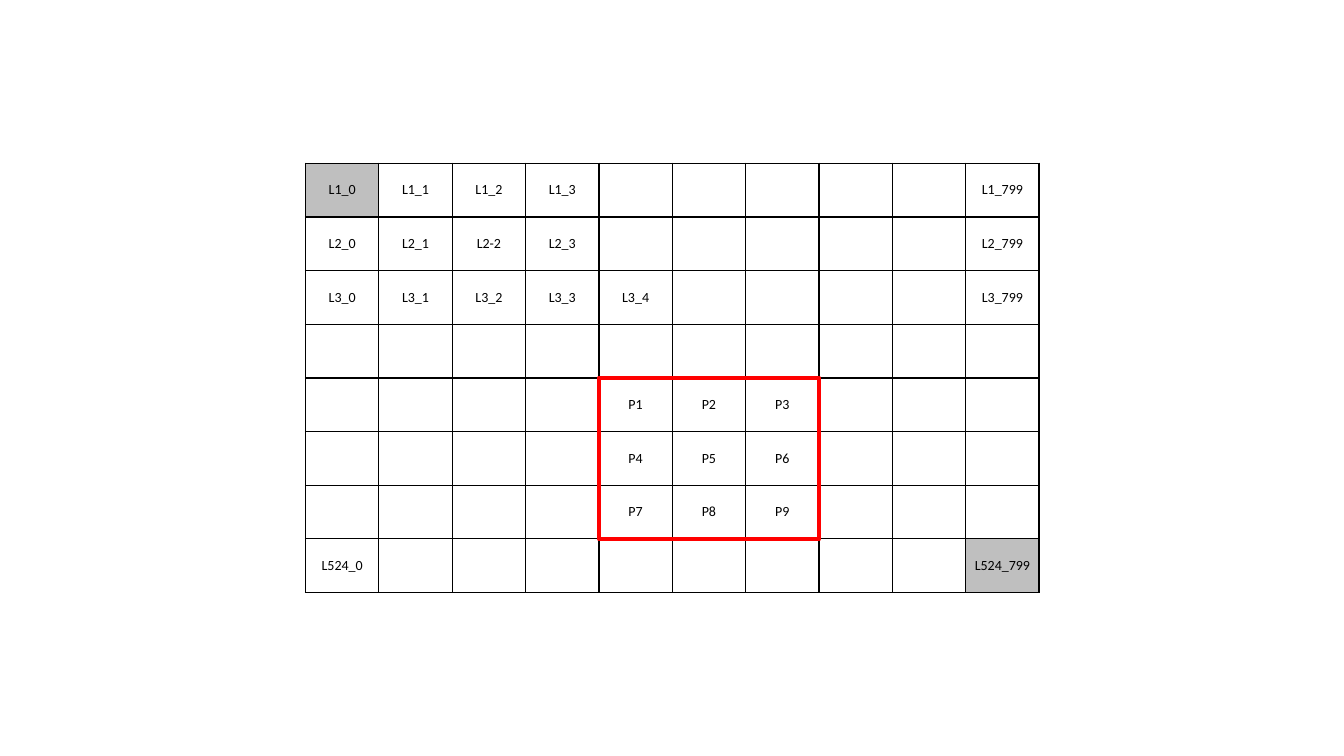
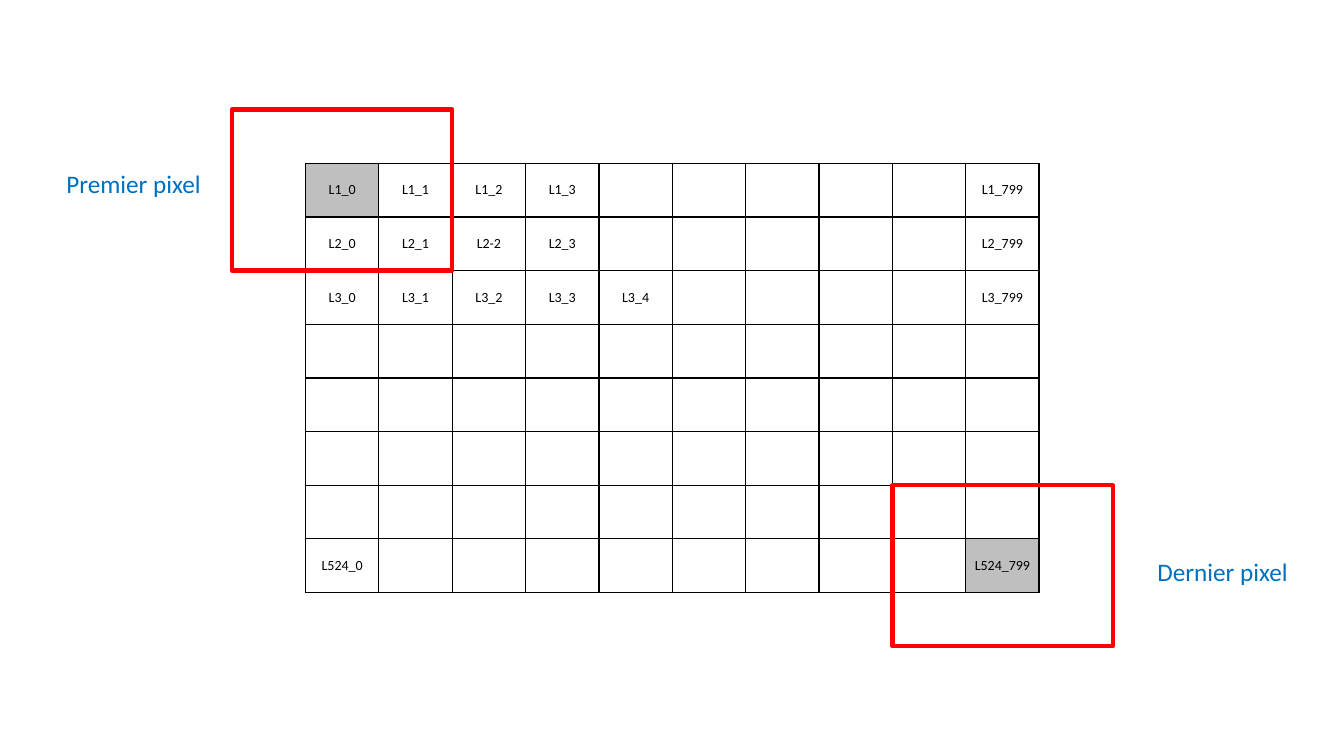
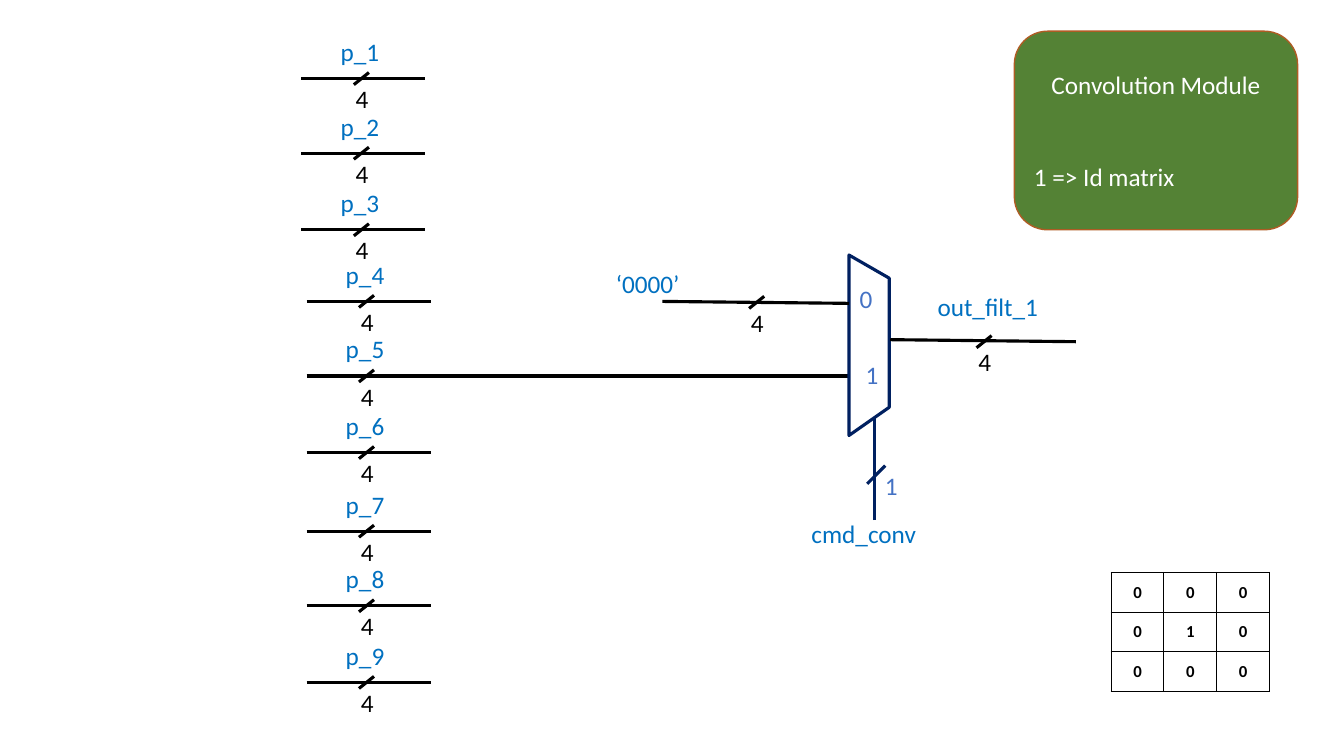
import lxml.etree
import pptx
import pptx.dml.color
import pptx.enum.shapes
import pptx.enum.text
import pptx.oxml.ns
import pptx.util

RGB = pptx.dml.color.RGBColor
ALIGN = pptx.enum.text.PP_ALIGN
SHAPE = pptx.enum.shapes.MSO_SHAPE
MIDDLE = pptx.enum.text.MSO_ANCHOR.MIDDLE
qn = pptx.oxml.ns.qn

BLACK = RGB(0x00, 0x00, 0x00)
WHITE = RGB(0xFF, 0xFF, 0xFF)
GREY = RGB(0xBF, 0xBF, 0xBF)
RED = RGB(0xFF, 0x00, 0x00)
SIGNAL_BLUE = RGB(0x00, 0x70, 0xC0)
DIGIT_BLUE = RGB(0x44, 0x72, 0xC4)
NAVY = RGB(0x00, 0x20, 0x60)
GREEN = RGB(0x54, 0x82, 0x35)
BROWN = RGB(0xAF, 0x5C, 0x24)

FONT = "Calibri"
SLIDE_W, SLIDE_H = pptx.util.Inches(13.33), pptx.util.Inches(7.5)
WIRE_PT = 2.25
LABEL_H = 5.33

# Pixel grid, in percent of the slide
GRID_X, GRID_Y = 22.73, 21.6
CELL_W, CELL_H = 5.46, 7.1
COLS, ROWS = 10, 8
PIXELS = {
    (0, 0): "L1_0", (0, 1): "L1_1", (0, 2): "L1_2", (0, 3): "L1_3", (0, 9): "L1_799",
    (1, 0): "L2_0", (1, 1): "L2_1", (1, 2): "L2-2", (1, 3): "L2_3", (1, 9): "L2_799",
    (2, 0): "L3_0", (2, 1): "L3_1", (2, 2): "L3_2", (2, 3): "L3_3", (2, 4): "L3_4",
    (2, 9): "L3_799", (7, 0): "L524_0", (7, 9): "L524_799",
}
CORNERS = {(0, 0), (ROWS - 1, COLS - 1)}
WINDOW = 3  # side of the filter window, in cells

# Heights of the nine input wires, in percent of the slide
INPUT_Y = [10.4, 20.27, 30.4, 39.87, 49.73, 59.87, 70.27, 80.13, 90.27]
MUX_LEFT, MUX_RIGHT = 63.17, 66.17


def px(share):
    """Percent of the slide's width."""
    return round(SLIDE_W * share / 100)


def py(share):
    """Percent of the slide's height."""
    return round(SLIDE_H * share / 100)


def box(x, y, w, h):
    return px(x), py(y), px(w), py(h)


def write(p, text, size=18, color=BLACK, bold=False, align=ALIGN.LEFT, before=0):
    p.alignment = align
    p.space_before = pptx.util.Pt(before)
    r = p.add_run()
    r.text = text
    r.font.name = FONT
    r.font.size = pptx.util.Pt(size)
    r.font.bold = bold
    r.font.color.rgb = color


def label(s, text, x, y, w, wrap=True, **style):
    tf = s.shapes.add_textbox(*box(x, y, w, LABEL_H)).text_frame
    tf.word_wrap = wrap
    tf.auto_size = pptx.enum.text.MSO_AUTO_SIZE.SHAPE_TO_FIT_TEXT
    write(tf.paragraphs[0], text, **style)


def outline(sp, color, width, fill=None):
    sp.shadow.inherit = False
    sp.line.color.rgb = color
    sp.line.width = pptx.util.Pt(width)
    if fill is None:
        sp.fill.background()
    else:
        sp.fill.solid()
        sp.fill.fore_color.rgb = fill


def wire(s, x1, y1, x2, y2, color=BLACK):
    line = s.shapes.add_connector(pptx.enum.shapes.MSO_CONNECTOR.STRAIGHT,
                                  px(x1), py(y1), px(x2), py(y2))
    line.line.color.rgb = color
    line.line.width = pptx.util.Pt(WIRE_PT)
    lxml.etree.SubElement(line._element.spPr, qn("a:effectLst"))


def bus_width(s, x, y):
    """Slash across a wire, with its number of bits below."""
    wire(s, x - 0.56, y + 0.8, x + 0.56, y - 0.8)
    label(s, "4", x - 1.16, y, 2.48, wrap=False)


def set_borders(cell, width=1):
    tc_pr = cell._tc.get_or_add_tcPr()
    for i, side in enumerate(("lnL", "lnR", "lnT", "lnB")):
        ln = lxml.etree.Element(qn("a:" + side), w=str(pptx.util.Pt(width)))
        fill = lxml.etree.SubElement(ln, qn("a:solidFill"))
        lxml.etree.SubElement(fill, qn("a:srgbClr"), val=str(BLACK))
        tc_pr.insert(i, ln)


def grid_table(s, x, y, cell_w, cell_h, rows, cols, texts, margins, shaded=(), **style):
    table = s.shapes.add_table(rows, cols, *box(x, y, cell_w * cols, cell_h * rows)).table
    table.first_row = table.horz_banding = False
    for column in table.columns:
        column.width = px(cell_w)
    for row in table.rows:
        row.height = py(cell_h)
    side, top = (pptx.util.Inches(m) for m in margins)
    for r in range(rows):
        for c in range(cols):
            cell = table.cell(r, c)
            cell.margin_left = cell.margin_right = side
            cell.margin_top = cell.margin_bottom = top
            cell.vertical_anchor = MIDDLE
            set_borders(cell)
            if (r, c) in shaded:
                cell.fill.solid()
                cell.fill.fore_color.rgb = GREY
            else:
                cell.fill.background()
            if (r, c) in texts:
                write(cell.text_frame.paragraphs[0], texts[r, c], align=ALIGN.CENTER, **style)


def pixel_grid(s, extra=None):
    grid_table(s, GRID_X, GRID_Y, CELL_W, CELL_H, ROWS, COLS, {**PIXELS, **(extra or {})},
               (0.08, 0.04), CORNERS, size=10)


def window_frame(s, row, col):
    """Red filter window whose top left cell is at row, col."""
    sp = s.shapes.add_shape(SHAPE.RECTANGLE, *box(
        GRID_X + col * CELL_W, GRID_Y + row * CELL_H, WINDOW * CELL_W, WINDOW * CELL_H))
    outline(sp, RED, 3)


def window_slide(s):
    first_row = first_col = 4
    names = {(first_row + i // WINDOW, first_col + i % WINDOW): f"P{i + 1}"
             for i in range(WINDOW ** 2)}
    pixel_grid(s, names)
    window_frame(s, first_row, first_col)


def corners_slide(s):
    pixel_grid(s)
    window_frame(s, -1, -1)
    window_frame(s, ROWS - 2, COLS - 2)
    label(s, "Premier pixel", 4.2, 21.6, 12.08, wrap=False, color=SIGNAL_BLUE)
    label(s, "Dernier pixel", 85.37, 72.93, 11.33, wrap=False, color=SIGNAL_BLUE)


def inputs(s):
    for n, y in enumerate(INPUT_Y, 1):
        x = 22.43 if n <= 3 else 22.81
        end = MUX_LEFT if n == 5 else x + 9.23
        label(s, f"p_{n}", x + 2.18, y - 6.27, 4.95, color=SIGNAL_BLUE)
        wire(s, x, y, end, y)
        bus_width(s, x + 4.46, y)


def module_title(s):
    sp = s.shapes.add_shape(SHAPE.ROUNDED_RECTANGLE, *box(75.47, 4.13, 21.08, 26.27))
    outline(sp, BROWN, 1, GREEN)
    tf = sp.text_frame
    tf.word_wrap = True
    tf.vertical_anchor = MIDDLE
    write(tf.paragraphs[0], "Convolution Module", color=WHITE, align=ALIGN.CENTER)
    write(tf.add_paragraph(), "1 => Id matrix", color=WHITE, before=44)


def multiplexer(s):
    corners = [(MUX_LEFT, 33.73), (MUX_RIGHT, 36.8), (MUX_RIGHT, 53.87), (MUX_LEFT, 57.6)]
    points = [(px(x), py(y)) for x, y in corners]
    builder = s.shapes.build_freeform(*points[0])
    builder.add_line_segments(points[1:], close=True)
    outline(builder.convert_to_shape(), NAVY, WIRE_PT)

    # Select input
    wire(s, 65.04, 68.8, 65.04, 55.33, NAVY)
    wire(s, 64.52, 64, 65.87, 61.6, NAVY)
    for text, x, y, w in (("0", 63.09, 36.8, 2.7), ("1", 63.39, 46.93, 3), ("1", 64.52, 61.6, 3.6)):
        label(s, text, x, y, w, color=DIGIT_BLUE, align=ALIGN.CENTER)

    # Constant input and output
    wire(s, 49.29, 39.87, MUX_LEFT, 40.13)
    bus_width(s, 56.3, 40)
    wire(s, 66.24, 44.93, 80.05, 45.2)
    bus_width(s, 73.22, 45.2)
    for text, x, y, w in (("‘0000’", 45.09, 34.8, 6.9), ("out_filt_1", 69.02, 37.87, 11.03),
                          ("cmd_conv", 59.64, 67.87, 11.03)):
        label(s, text, x, y, w, color=SIGNAL_BLUE)


def module_slide(s):
    inputs(s)
    module_title(s)
    kernel = {(r, c): "1" if r == c == 1 else "0" for r in range(WINDOW) for c in range(WINDOW)}
    grid_table(s, 82.67, 75.73, 3.93, 5.24, WINDOW, WINDOW, kernel, (0.07, 0.03),
               size=12, bold=True)
    multiplexer(s)


def main():
    prs = pptx.Presentation()
    prs.slide_width, prs.slide_height = SLIDE_W, SLIDE_H
    for build in (window_slide, corners_slide, module_slide):
        build(prs.slides.add_slide(prs.slide_layouts[6]))
    prs.save("out.pptx")


if __name__ == "__main__":
    main()
